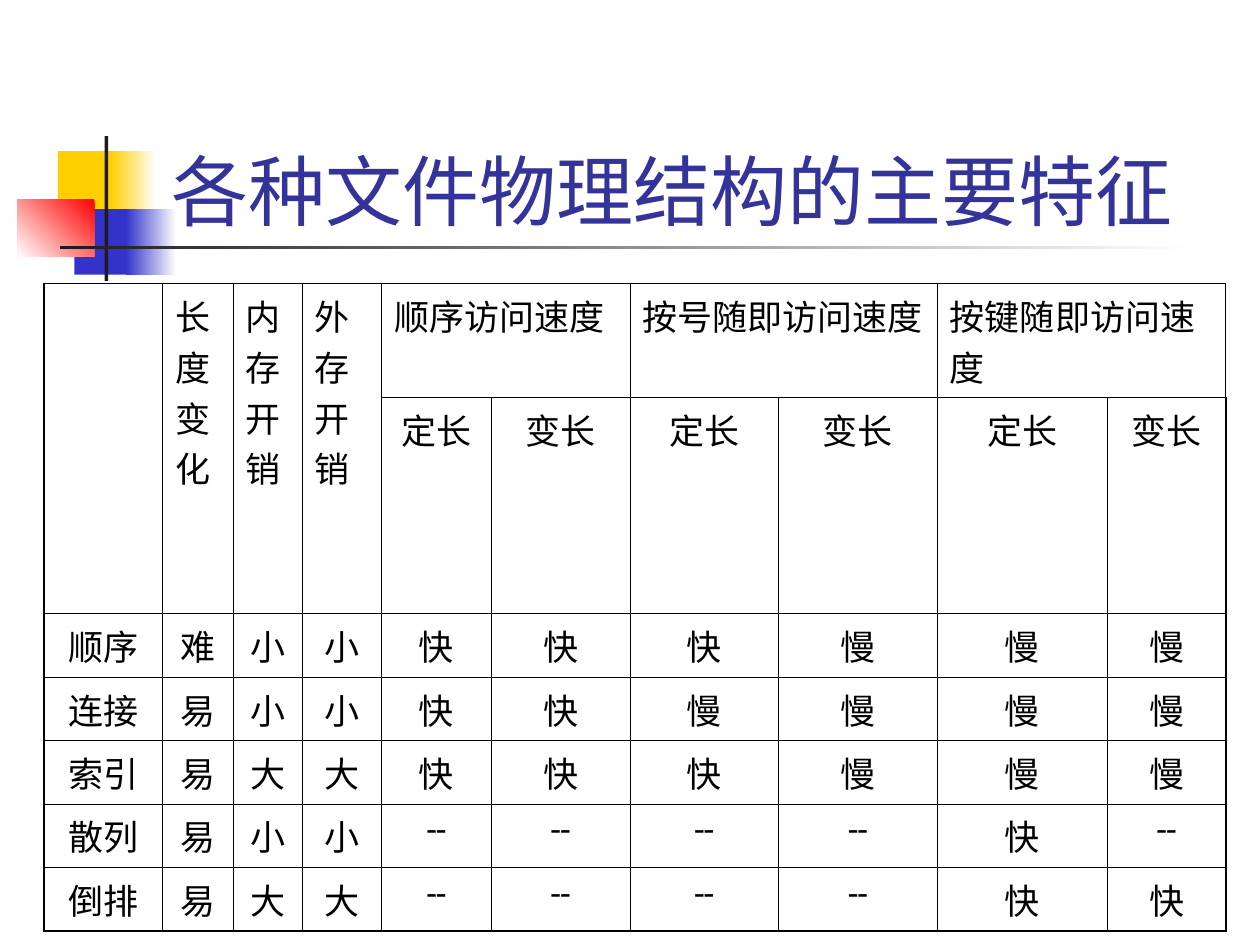
import pptx
import pptx.dml.color
import pptx.enum.shapes
import pptx.enum.text
import pptx.oxml
import pptx.oxml.ns
import pptx.util

Pt = pptx.util.Pt
ALIGN = pptx.enum.text.PP_ALIGN

COLORS = {
    "yellow": "FFCF01",
    "blue": "3333CC",
    "red": "FF0000",
    "dark": "1C1C1C",
    "title": "333399",
    "black": "000000",
    "white": "FFFFFF",
}

COLUMN_WIDTHS = [67.68, 40.32, 39.6, 45.36, 62.64, 79.2, 84.96, 90.72, 97.2, 67.68]
ROW_HEIGHTS = [55.44, 103.68] + [35.28] * 5
ROWS = [
    ["", "长度变化", "内存开销", "外存开销",
     "顺序访问速度", "", "按号随即访问速度", "", "按键随即访问速度", ""],
    [""] * 4 + ["定长", "变长"] * 3,
    ["顺序", "难", "小", "小", "快", "快", "快", "慢", "慢", "慢"],
    ["连接", "易", "小", "小", "快", "快", "慢", "慢", "慢", "慢"],
    ["索引", "易", "大", "大", "快", "快", "快", "慢", "慢", "慢"],
    ["散列", "易", "小", "小", "--", "--", "--", "--", "快", "--"],
    ["倒排", "易", "大", "大", "--", "--", "--", "--", "快", "快"],
]
# Each merge: first row, first column, last row, last column
MERGES = ([(0, column, 1, column) for column in range(4)]
          + [(0, column, 0, column + 1) for column in (4, 6, 8)])


def rgb(name):
    return pptx.dml.color.RGBColor.from_string(COLORS[name])


class SlideBuilder:
    font = "Roboto"
    title_size = 44
    table_size = 20
    thin_border = 0.45
    outer_border = 1.08

    def __init__(self, slide):
        self.slide = slide

    def add_run(self, paragraph, text, size, color):
        run = paragraph.add_run()
        run.text = text
        run.font.name = self.font
        run.font.size = Pt(size)
        run.font.color.rgb = rgb(color)

    def title(self, text, left, top, width, height):
        shape = self.slide.shapes.title
        shape.left, shape.top = Pt(left), Pt(top)
        shape.width, shape.height = Pt(width), Pt(height)
        frame = shape.text_frame
        frame.word_wrap = True
        frame.auto_size = pptx.enum.text.MSO_AUTO_SIZE.NONE
        frame.vertical_anchor = pptx.enum.text.MSO_ANCHOR.BOTTOM
        paragraph = frame.paragraphs[0]
        paragraph.alignment = ALIGN.LEFT
        self.add_run(paragraph, text, self.title_size, "title")

    def rectangle(self, left, top, width, height, colors, angle=180):
        """Fill with one colour, or with a gradient when two are given."""
        shape = self.slide.shapes.add_shape(
            pptx.enum.shapes.MSO_SHAPE.RECTANGLE,
            Pt(left), Pt(top), Pt(width), Pt(height))
        shape.shadow.inherit = False
        shape.line.fill.background()
        if len(colors) == 1:
            shape.fill.solid()
            shape.fill.fore_color.rgb = rgb(colors[0])
            return
        shape.fill.gradient()
        shape.fill.gradient_angle = angle
        for stop, color, position in zip(shape.fill.gradient_stops, colors, (0, 1)):
            stop.color.rgb = rgb(color)
            stop.position = position

    def borders(self, cell, outer_sides):
        properties = cell._tc.get_or_add_tcPr()
        for index, side in enumerate("LRTB"):
            points = self.outer_border if side in outer_sides else self.thin_border
            line = pptx.oxml.parse_xml(
                f'<a:ln{side} {pptx.oxml.ns.nsdecls("a")} w="{Pt(points)}">'
                f'<a:solidFill><a:srgbClr val="{COLORS["black"]}"/></a:solidFill>'
                f'</a:ln{side}>')
            properties.insert(index, line)

    def table(self, left, top, widths, heights, rows, merges):
        table = self.slide.shapes.add_table(
            len(rows), len(widths), Pt(left), Pt(top),
            Pt(sum(widths)), Pt(sum(heights))).table
        table.first_row = table.horz_banding = False
        for column, width in zip(table.columns, widths):
            column.width = Pt(width)
        for row, height in zip(table.rows, heights):
            row.height = Pt(height)
        last_row, last_column = len(rows) - 1, len(widths) - 1
        for row, texts in enumerate(rows):
            for column, text in enumerate(texts):
                cell = table.cell(row, column)
                cell.fill.background()
                edges = {"L": column == 0, "R": column == last_column,
                         "T": row == 0, "B": row == last_row}
                self.borders(cell, [side for side in edges if edges[side]])
                if text:
                    paragraph = cell.text_frame.paragraphs[0]
                    paragraph.alignment = ALIGN.CENTER if row else ALIGN.LEFT
                    self.add_run(paragraph, text, self.table_size, "black")
        for first_row, first_column, end_row, end_column in merges:
            table.cell(first_row, first_column).merge(table.cell(end_row, end_column))


def main():
    presentation = pptx.Presentation()
    presentation.slide_width, presentation.slide_height = Pt(720), Pt(540)
    builder = SlideBuilder(presentation.slides.add_slide(presentation.slide_layouts[5]))

    builder.rectangle(33.12, 86.4, 34.56, 37.44, ["yellow"])
    builder.rectangle(63.36, 86.4, 25.92, 37.44, ["white", "yellow"])
    builder.rectangle(42.48, 119.52, 33.12, 37.44, ["blue"])
    builder.rectangle(72, 119.52, 28.8, 37.44, ["white", "blue"])
    builder.rectangle(10.08, 113.76, 43.92, 33.12, ["red", "white"], angle=225)
    builder.rectangle(59.76, 77.76, 2.16, 82.8, ["dark"])
    builder.rectangle(34.56, 140.4, 648, 2.16, ["white", "dark"])

    builder.title("各种文件物理结构的主要特征", 90.72, 48.24, 613.44, 90)
    builder.table(25.2, 162, COLUMN_WIDTHS, ROW_HEIGHTS, ROWS, MERGES)
    presentation.save("out.pptx")


if __name__ == "__main__":
    main()
